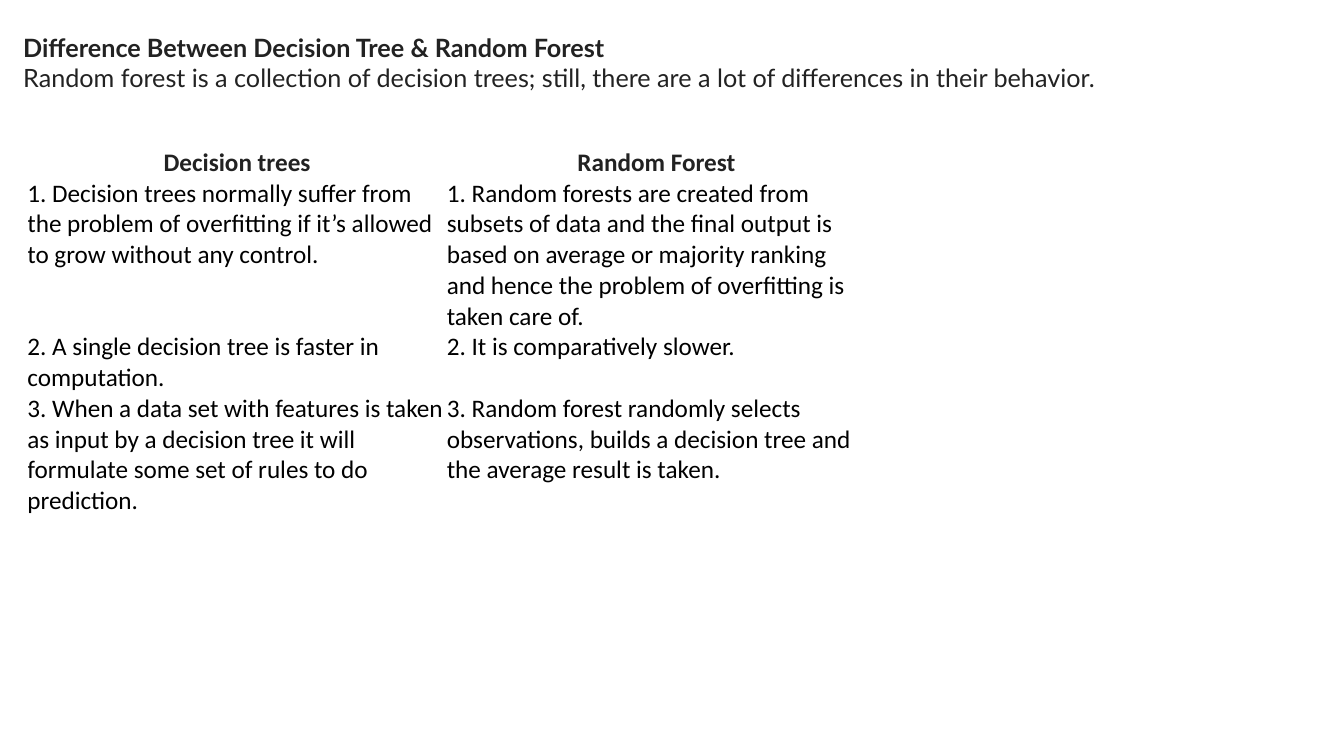
from pptx import Presentation
from pptx.dml.color import RGBColor
from pptx.enum import text
from pptx.util import Cm, Pt

INK = RGBColor(0x22, 0x22, 0x22)
BLACK = RGBColor(0, 0, 0)
WHITE = RGBColor(0xFF, 0xFF, 0xFF)

HEADING = "Difference Between Decision Tree & Random Forest"
SUMMARY = ("Random forest is a collection of decision trees; still, "
           "there are a lot of differences in their behavior.")

COLUMN_WIDTH = Cm(10.57)
LINE_HEIGHT = Cm(0.76)

# Each row: number of text lines, left cell, right cell
COMPARISON = [
    (1, "Decision trees", "Random Forest"),
    (5, "1. Decision trees normally suffer from the problem of overfitting "
        "if it’s allowed to grow without any control.",
        "1. Random forests are created from subsets of data and the final "
        "output is based on average or majority ranking and hence the "
        "problem of overfitting is taken care of."),
    (2, "2. A single decision tree is faster in computation.",
        "2. It is comparatively slower."),
    (4, "3. When a data set with features is taken as input by a decision "
        "tree it will formulate some set of rules to do prediction.",
        "3. Random forest randomly selects observations, builds a decision "
        "tree and the average result is taken."),
]


def apply(target, values):
    for name, value in values.items():
        setattr(target, name, value)


def write(para, words, font, colour, bold, align):
    apply(para, {"alignment": align, "line_spacing": 1.0,
                 "space_before": Pt(0)})
    span = para.add_run()
    span.text = words
    apply(span.font, {"name": font, "size": Pt(18), "bold": bold})
    span.font.color.rgb = colour


def add_heading(page):
    box = page.shapes.title
    apply(box, {"left": Cm(0.33), "top": Cm(0.69),
                "width": Cm(29.51), "height": Cm(1.8)})
    frame = box.text_frame
    apply(frame, {"word_wrap": True,
                  "auto_size": text.MSO_AUTO_SIZE.NONE,
                  "vertical_anchor": text.MSO_ANCHOR.TOP})
    left = text.PP_ALIGN.LEFT
    write(frame.paragraphs[0], HEADING, "Lato", INK, True, left)
    write(frame.add_paragraph(), SUMMARY, "Lato", INK, False, left)


def fill_cell(cell, words, is_header):
    apply(cell, {"margin_left": 0, "margin_right": 0,
                 "margin_top": 0, "margin_bottom": 0})
    cell.fill.solid()
    cell.fill.fore_color.rgb = WHITE
    align = text.PP_ALIGN.CENTER if is_header else text.PP_ALIGN.LEFT
    write(cell.text_frame.paragraphs[0], words, "Calibri",
          INK if is_header else BLACK, is_header, align)


def add_comparison(page):
    line_total = sum(row[0] for row in COMPARISON)
    table = page.shapes.add_table(
        len(COMPARISON), 2, Cm(0.69), Cm(3.71),
        COLUMN_WIDTH * 2, LINE_HEIGHT * line_total).table
    apply(table, {"first_row": False, "horz_banding": False})
    for column in table.columns:
        column.width = COLUMN_WIDTH
    for index, (lines, *cells) in enumerate(COMPARISON):
        table.rows[index].height = LINE_HEIGHT * lines
        for side, words in enumerate(cells):
            fill_cell(table.cell(index, side), words, index == 0)


def main():
    deck = Presentation()
    apply(deck, {"slide_width": Cm(33.87), "slide_height": Cm(19.05)})
    page = deck.slides.add_slide(deck.slide_layouts[5])

    # Heading with its summary line
    add_heading(page)
    # Side-by-side comparison
    add_comparison(page)

    deck.save("out.pptx")


if __name__ == "__main__":
    main()
